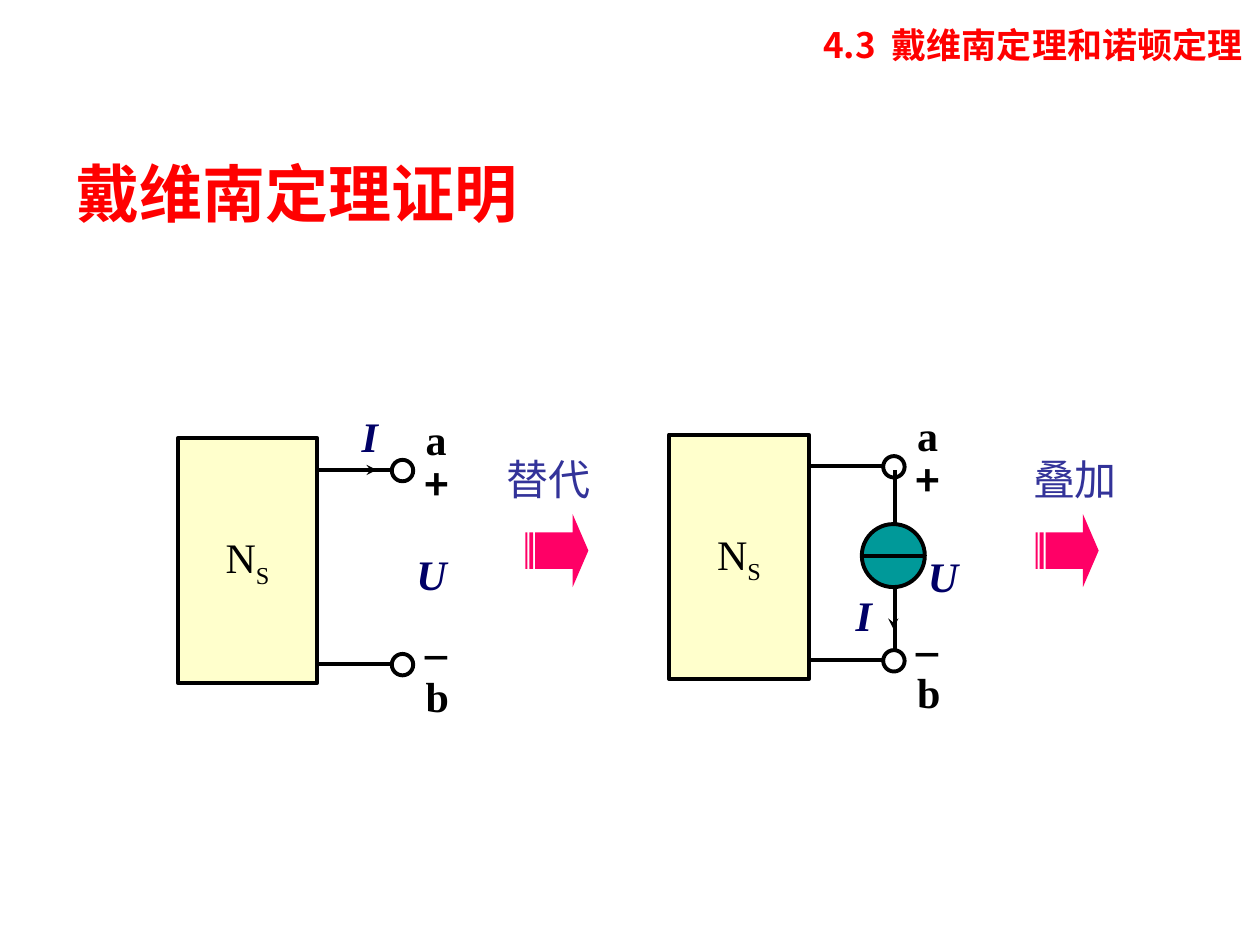
"""Build the slide on the proof of Thevenin's theorem."""
from lxml import etree
from pptx import Presentation
from pptx.dml.color import RGBColor
from pptx.enum.shapes import MSO_CONNECTOR, MSO_SHAPE
from pptx.enum.text import MSO_ANCHOR, PP_ALIGN
from pptx.oxml.ns import qn
from pptx.util import Inches, Pt

RECT, OVAL = MSO_SHAPE.RECTANGLE, MSO_SHAPE.OVAL
ARROW = MSO_SHAPE.STRIPED_RIGHT_ARROW
LINE = MSO_CONNECTOR.STRAIGHT
TOP, MID = MSO_ANCHOR.TOP, MSO_ANCHOR.MIDDLE
LEFT, MIDST, RIGHT = PP_ALIGN.LEFT, PP_ALIGN.CENTER, PP_ALIGN.RIGHT
SANS, SERIF = "Noto Sans CJK SC", "Times New Roman"
HUES = {"ink": "000000", "red": "FF0000", "navy": "000066", "blue": "333399",
        "pink": "FF0066", "cream": "FFFFCC", "teal": "009999", "white": "FFFFFF"}

deck = Presentation()
deck.slide_width, deck.slide_height = Inches(10), Inches(7.5)
slide = deck.slides.add_slide(deck.slide_layouts[6])
shapes = slide.shapes


def write(text, box=None, host=None, size=24, font=SERIF, hue="ink", bold=False,
          italic=False, align=LEFT, anchor=TOP, gap=0, pitch=None, sub="", wrap=True):
    host = host or shapes.add_textbox(*map(Inches, box))
    frame = host.text_frame
    frame.word_wrap, frame.vertical_anchor = wrap, anchor
    for i, line in enumerate(text.split("\n")):
        para = frame.add_paragraph() if i else frame.paragraphs[0]
        para.alignment = align
        if i:
            para.space_before = Pt(gap)
        if pitch:
            para.line_spacing = Pt(pitch)
        for part in filter(None, (line, sub)):
            run = para.add_run()
            run.text = part
            run.font.size, run.font.name = Pt(size), font
            run.font.bold, run.font.italic = bold, italic
            run.font.color.rgb = RGBColor.from_string(HUES[hue])
            props = run._r.get_or_add_rPr()
            etree.SubElement(props, qn("a:ea")).set("typeface", font)
            if part == sub:
                props.set("baseline", "-25000")


def draw(kind, box, hue="ink", width=2.25, head=False):
    if kind is LINE:
        item = shapes.add_connector(LINE, *map(Inches, box))
        etree.SubElement(item._element.spPr, qn("a:effectLst"))
    else:
        item = shapes.add_shape(kind, *map(Inches, box))
        item.shadow.inherit = False
        item.fill.solid()
        item.fill.fore_color.rgb = RGBColor.from_string(HUES[hue])
    if width:
        item.line.width = Pt(width)
        item.line.color.rgb = RGBColor.from_string(HUES["ink"])
    else:
        item.line.fill.background()
    if head:
        edge = item._element.spPr.find(qn("a:ln"))
        etree.SubElement(edge, qn("a:tailEnd")).set("type", "stealth")
    return item


write("戴维南定理证明", (0.51, 1.07, 4.37, 0.91), size=36, font=SANS, hue="red",
      bold=True, anchor=MID)
write("4.3  戴维南定理和诺顿定理", (1.46, 0.14, 8.5, 0.47), size=20, font=SANS,
      hue="red", bold=True, align=RIGHT)

for x, y in ((1.41, 3.48), (5.31, 3.45)):
    write("+\n_", (x + 1.86, y + 0.11, 0.75, 1.72), font=SANS, bold=True,
          gap=58.8, pitch=28.8)
    for drop in (0.25, 1.79):
        draw(LINE, (x + 1.12, y + drop, x + 1.7, y + drop))
        draw(OVAL, (x + 1.7, y + drop - 0.08, 0.17, 0.17), "white")
    for name, drop in (("a", -0.25), ("b", 1.79)):
        write(name, (x + 1.87, y + drop, 0.75, 0.5), bold=True)
    block = draw(RECT, (x, y, 1.11, 1.94), "cream")
    write("N", host=block, sub="S", align=MIDST, anchor=MID, wrap=False)

draw(LINE, (7.1, 3.73, 7.1, 5.15))
draw(OVAL, (6.84, 4.16, 0.5, 0.5), "teal")
draw(LINE, (6.86, 4.41, 7.33, 4.41))
for flow in ((2.76, 3.73, 2.99, 3.73), (7.09, 4.75, 7.09, 4.99)):
    draw(LINE, flow, width=0.75, head=True)

for sign, x, y in (("I", 2.31, 3.21), ("U", 2.8, 4.3), ("I", 6.23, 4.63), ("U", 6.86, 4.32)):
    write(sign, (x, y, 1.25, 0.5), hue="navy", bold=True, italic=True,
          align=MIDST, anchor=MID)

for step, x, tip in (("替代", 3.92, 4.17), ("叠加", 8.1, 8.22)):
    write(step, (x, 3.42, 0.99, 0.75), font=SANS, hue="blue", anchor=MID)
    arrow = draw(ARROW, (tip, 4.08, 0.5, 0.58), "pink", width=0)
    arrow.adjustments[0], arrow.adjustments[1] = 0.5, 0.25

deck.save("out.pptx")
